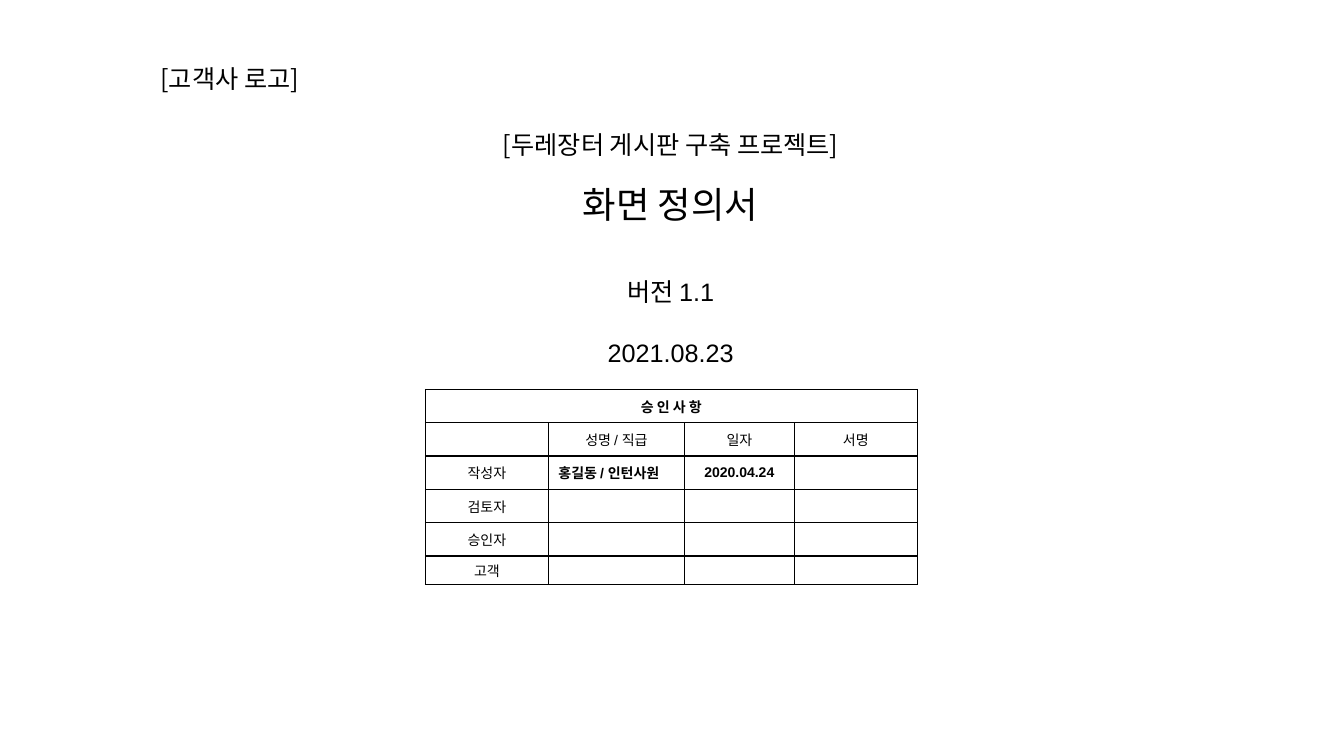
import dataclasses

import lxml.etree
import pptx
import pptx.dml.color
import pptx.enum.text
import pptx.oxml.ns
import pptx.util

ALIGN = pptx.enum.text.PP_ALIGN
MIDDLE = pptx.enum.text.MSO_ANCHOR.MIDDLE
qn = pptx.oxml.ns.qn


@dataclasses.dataclass(frozen=True)
class Theme:
    """Colours, fonts and type sizes of the cover."""
    ink: str = "000000"
    latin: str = "Arial"
    hangul: str = "Noto Sans CJK KR"
    title: int = 26
    body: int = 18
    cell: int = 10
    rule: int = 1


def write(para, text, theme, size, font=None, bold=False, align=ALIGN.CENTER, before=0):
    """Fill a paragraph with one formatted span, or size it when it is empty."""
    para.alignment = align
    para.space_before = pptx.util.Pt(before)
    if not text:
        lxml.etree.SubElement(para._p, qn("a:endParaRPr"), sz=str(size * 100))
        return
    span = para.add_run()
    span.text = text
    span.font.size = pptx.util.Pt(size)
    span.font.name = font or theme.latin
    span.font.bold = bold
    span.font.color.rgb = pptx.dml.color.RGBColor.from_string(theme.ink)
    lxml.etree.SubElement(span.font._element, qn("a:ea"), typeface=theme.hangul)


class Cover:
    """Holds the theme and the page; lengths are shares of the page size."""

    def __init__(self, deck, theme):
        """Add a blank page to the deck."""
        self.deck, self.theme = deck, theme
        self.page = deck.slides.add_slide(deck.slide_layouts[6])

    def place(self, left, top, width, height):
        """Turn shares of the page into lengths."""
        wide, high = self.deck.slide_width, self.deck.slide_height
        return [round(share * side) for share, side in
                zip((left, top, width, height), (wide, high, wide, high))]

    def text(self, area, lines, wrap=True):
        """Add a text box from (text, format) lines."""
        box = self.page.shapes.add_textbox(*self.place(*area))
        frame = box.text_frame
        frame.word_wrap = wrap
        frame.vertical_anchor = MIDDLE
        for index, (words, style) in enumerate(lines):
            para = frame.add_paragraph() if index else frame.paragraphs[0]
            write(para, words, self.theme, **style)

    def border(self, cell):
        """Rule all four sides of a cell."""
        props = cell._tc.get_or_add_tcPr()
        for side in ("lnL", "lnR", "lnT", "lnB"):
            line = lxml.etree.SubElement(props, qn("a:" + side),
                                         w=str(pptx.util.Pt(self.theme.rule)))
            fill = lxml.etree.SubElement(line, qn("a:solidFill"))
            lxml.etree.SubElement(fill, qn("a:srgbClr"), val=self.theme.ink)

    def table(self, area, widths, heights, rows, styles):
        """Add a ruled table whose first row is one merged heading."""
        left, top, width, height = self.place(*area)
        grid = self.page.shapes.add_table(len(heights), len(widths),
                                          left, top, width, height).table
        grid.first_row = grid.horz_banding = False
        for column, part in zip(grid.columns, widths):
            column.width = round(width * part / sum(widths))
        for row, part in zip(grid.rows, heights):
            row.height = round(height * part / sum(heights))
        for r, words in enumerate(rows):
            for c in range(len(widths)):
                cell = grid.cell(r, c)
                cell.vertical_anchor = MIDDLE
                cell.margin_top = cell.margin_bottom = pptx.util.Inches(0.03)
                self.border(cell)
                cell.fill.background()
                write(cell.text_frame.paragraphs[0],
                      words[c] if c < len(words) else "",
                      self.theme, self.theme.cell, **styles.get((r, c), {}))
        grid.cell(0, 0).merge(grid.cell(0, len(widths) - 1))


def main():
    """Build the cover and save it."""
    deck = pptx.Presentation()
    deck.slide_width = pptx.util.Inches(13.33)
    deck.slide_height = pptx.util.Inches(7.5)
    theme = Theme()
    cover = Cover(deck, theme)
    label = {"size": theme.body, "font": theme.hangul}
    cover.text((0.316, 0.153, 0.366, 0.352), [
        ("[두레장터 게시판 구축 프로젝트]", label),
        ("화면 정의서", {"size": theme.title, "before": 16}),
        ("버전 1.1", {"size": theme.body, "before": 36}),
        ("2021.08.23", {"size": theme.body, "before": 22}),
    ])
    approvals = [
        ["승 인 사 항"],
        ["", "성명 / 직급", "일자", "서명"],
        ["작성자", "홍길동 / 인턴사원", "2020.04.24"],
        ["검토자"], ["승인자"], ["고객"],
    ]
    strong = {"bold": True}
    cover.table((0.3165, 0.515, 0.366, 0.258), [1.22, 1.35, 1.09, 1.22],
                [0.33] * 5 + [0.28], approvals,
                {(0, 0): strong, (2, 1): {"bold": True, "align": ALIGN.LEFT},
                 (2, 2): strong})
    cover.text((0.112, 0.077, 0.14, 0.053),
               [("[고객사 로고]", {**label, "align": ALIGN.LEFT})], wrap=False)
    deck.save("out.pptx")


main()
